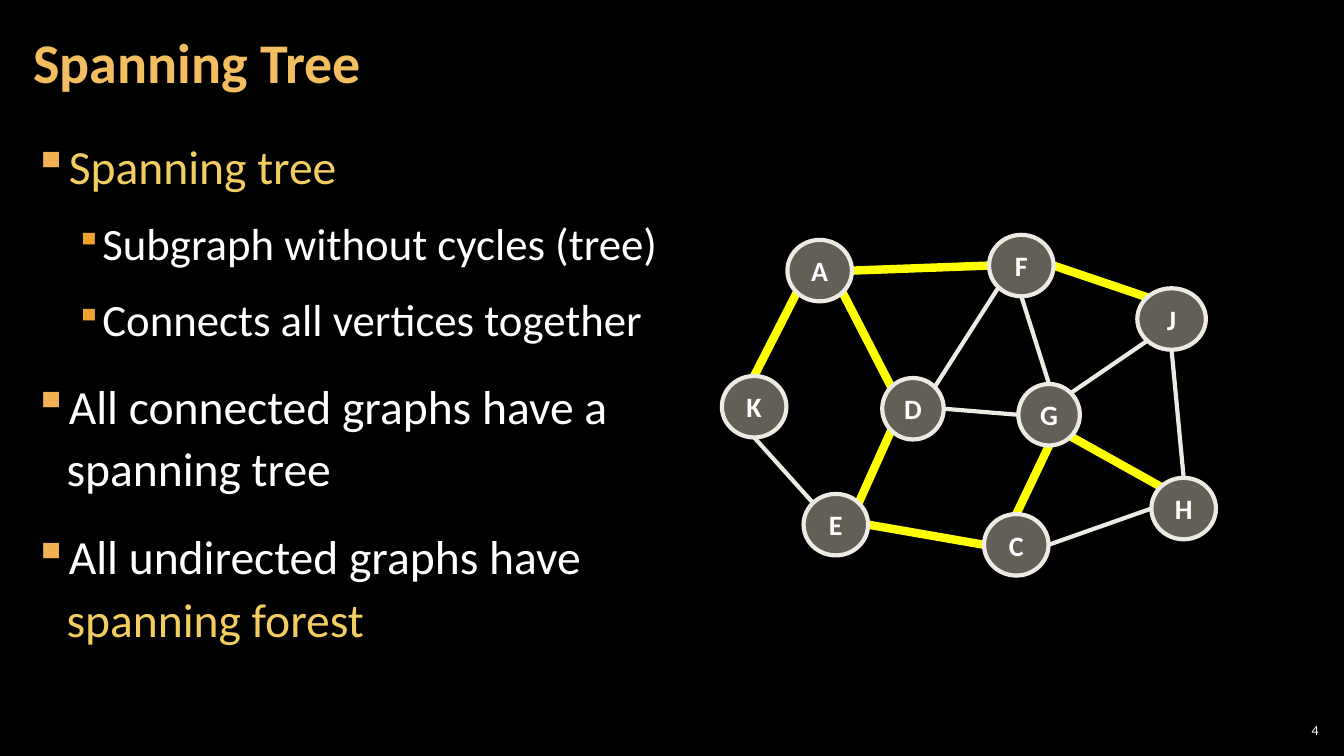
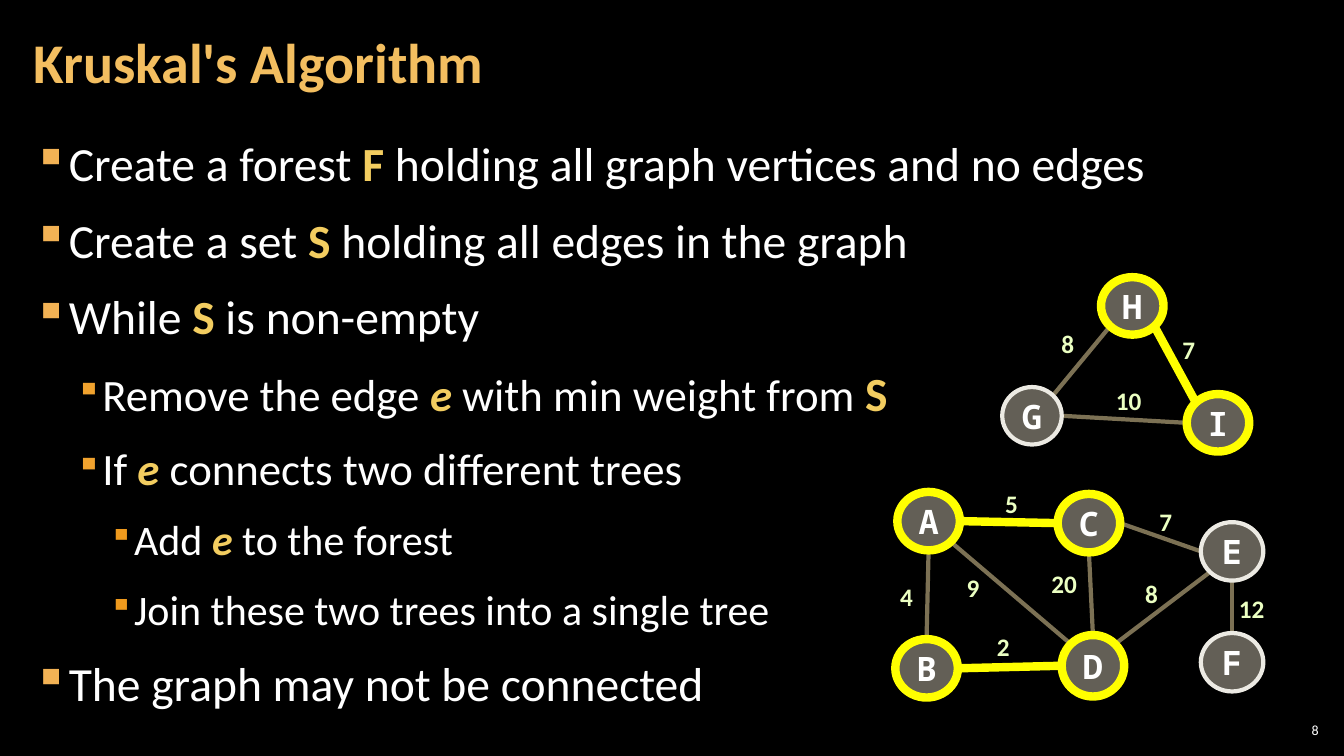
"""Build two slides on spanning trees and Kruskal's algorithm."""
from lxml.etree import SubElement
from pptx import Presentation
from pptx.dml.color import RGBColor
from pptx.enum.shapes import MSO_CONNECTOR, MSO_SHAPE
from pptx.enum.text import MSO_ANCHOR, PP_ALIGN
from pptx.oxml.ns import qn
from pptx.util import Pt

PX = 9144
SLIDE_SIZE = (1333, 750)
TITLE_BOX = (21, 4, 1047, 121)
BODY_BOX = (21, 126, 1291, 609)
NUMBER_BOX = (1265, 714, 47, 21)

BACKGROUND, WHITE, GOLD = "000000", "FFFFFF", "F3CD60"
NODE_FILL, NODE_RING, TREE = "C7BFAC", "ECEAE3", "FFFF00"
TITLE = {"size": 40, "color": "F3BE60", "bold": True}
NUMBER = {"size": 10}
WEIGHT = {"size": 18, "color": "EBFFC2", "bold": True}
PLAIN = {}
TERM = {"color": GOLD}
KEY = {"color": GOLD, "bold": True}
BIG_KEY = {**KEY, "size": 34}
VARIABLE = {**KEY, "italic": True}

LEVELS = [
    {"size": 34, "left": 33, "hang": 33, "bullet": "F2B254", "percent": 100},
    {"size": 32, "left": 67, "hang": 25, "bullet": "F0A22E", "percent": 80},
    {"size": 30, "left": 100, "hang": 25, "bullet": "EF9A1D", "percent": 80},
]

COMPASS = {"N": (0, -1), "S": (0, 1), "W": (-1, 0), "E": (1, 0)}
DIAGONAL = 0.5 ** 0.5

SLIDES = [
    {
        "title": "Spanning Tree",
        "number": "4",
        "line_spacing": 1.1,
        "top_space": 12,
        "body": [
            (0, [("Spanning tree", TERM)]),
            (1, [("Subgraph without cycles (tree)", PLAIN)]),
            (1, [("Connects all vertices together", PLAIN)]),
            (0, [("All connected graphs have a\nspanning tree", PLAIN)]),
            (0, [("All undirected graphs have\n", PLAIN), ("spanning forest", TERM)]),
        ],
        "node_font": {"size": 20, "bold": True},
        "ring_tree_nodes": False,
        "nodes": {
            "A": (781, 238, 64, 61), "F": (981, 233, 64, 61), "J": (1128, 286, 68, 61),
            "K": (716, 373, 64, 61), "D": (875, 375, 61, 61), "G": (1010, 381, 61, 61),
            "E": (797, 490, 64, 61), "C": (976, 510, 64, 61), "H": (1142, 474, 64, 61),
        },
        "tree_edges": [
            ("A", "E", "F", "W"), ("F", "E", "J", "NW"), ("K", "N", "A", "SW"),
            ("D", "NW", "A", "SE"), ("D", "SW", "E", "NE"), ("C", "W", "E", "E"),
            ("C", "N", "G", "S"), ("G", "SE", "H", "NW"),
        ],
        "other_color": NODE_RING,
        "other_edges": [
            ("G", "NE", "J", "SW"), ("G", "N", "F", "S"), ("D", "E", "G", "W"),
            ("F", "SW", "D", "NE"), ("H", "N", "J", "S"), ("H", "W", "C", "E"),
            ("K", "S", "E", "NW"),
        ],
        "weights": [],
    },
    {
        "title": "Kruskal's Algorithm",
        "number": "8",
        "line_spacing": 1.05,
        "top_space": 6,
        "body": [
            (0, [("Create a forest ", PLAIN), ("F", KEY),
                 (" holding all graph vertices and no edges", PLAIN)]),
            (0, [("Create a set ", PLAIN), ("S", KEY),
                 (" holding all edges in the graph", PLAIN)]),
            (0, [("While ", PLAIN), ("S", KEY), (" is non-empty", PLAIN)]),
            (1, [("Remove the edge ", PLAIN), ("e", VARIABLE),
                 (" with min weight from ", PLAIN), ("S", BIG_KEY)]),
            (1, [("If ", PLAIN), ("e ", VARIABLE), ("connects two different trees", PLAIN)]),
            (2, [("Add ", PLAIN), ("e", VARIABLE), (" to the forest", PLAIN)]),
            (2, [("Join these two trees into a single tree", PLAIN)]),
            (0, [("The graph may not be connected", PLAIN)]),
        ],
        "node_font": {"size": 24, "bold": True, "name": "Noto Sans Mono"},
        "ring_tree_nodes": True,
        "nodes": {
            "A": (890, 488, 62, 58), "B": (888, 634, 62, 58), "C": (1049, 490, 62, 58),
            "D": (1053, 630, 62, 61), "E": (1191, 518, 62, 58), "F": (1191, 628, 62, 58),
            "G": (994, 384, 59, 57), "H": (1092, 275, 62, 57), "I": (1177, 391, 62, 57),
        },
        "tree_edges": [
            ("A", "E", "C", "W"), ("D", "W", "B", "E"), ("I", "NW", "H", "SE"),
        ],
        "other_color": "7C7154",
        "other_edges": [
            ("D", "NE", "E", "SW"), ("D", "N", "C", "S"), ("F", "N", "E", "S"),
            ("D", "NW", "A", "SE"), ("C", "E", "E", "W"), ("B", "N", "A", "S"),
            ("G", "E", "I", "W"), ("G", "NE", "H", "SW"),
        ],
        "weights": [
            ("4", 883, 572), ("2", 979, 621), ("9", 949, 563), ("12", 1219, 584),
            ("8", 1126, 569), ("7", 1140, 497), ("5", 987, 479), ("20", 1033, 559),
            ("10", 1097, 377), ("8", 1043, 321), ("7", 1163, 327),
        ],
    },
]


def emu(*lengths):
    """Turn px lengths into EMU."""
    return [round(length * PX) for length in lengths]


def rgb(color):
    """Turn a hex string into a colour."""
    return RGBColor.from_string(color)


def add_run(paragraph, text, font_format):
    """Add formatted text, with a line break at each newline."""
    values = {"name": "Calibri", "color": WHITE, **font_format}
    values["size"] = Pt(values["size"])
    color = values.pop("color")
    for index, line in enumerate(text.split("\n")):
        if index:
            paragraph.add_line_break()
        if line:
            run = paragraph.add_run()
            run.text = line
            run.font.color.rgb = rgb(color)
            for name, value in values.items():
                setattr(run.font, name, value)


def set_frame(shape, insets, anchor=MSO_ANCHOR.MIDDLE, wrap=True):
    """Set up the text frame of a shape and return it."""
    frame = shape.text_frame
    horizontal, vertical = emu(*insets)
    values = {
        "margin_left": horizontal, "margin_right": horizontal,
        "margin_top": vertical, "margin_bottom": vertical,
        "vertical_anchor": anchor, "word_wrap": wrap,
    }
    for name, value in values.items():
        setattr(frame, name, value)
    return frame


def add_label(slide, box, text, font_format, insets, alignment=PP_ALIGN.LEFT, wrap=True):
    """Add a one-line text box and return its paragraph."""
    frame = set_frame(slide.shapes.add_textbox(*emu(*box)), insets, wrap=wrap)
    paragraph = frame.paragraphs[0]
    paragraph.alignment = alignment
    add_run(paragraph, text, font_format)
    return paragraph


def add_bullet(paragraph, level):
    """Give a paragraph the bullet and indent of its level."""
    properties = paragraph._p.get_or_add_pPr()
    left, hang = emu(level["left"], level["hang"])
    properties.set("marL", str(left))
    properties.set("indent", str(-hang))
    color = SubElement(properties, qn("a:buClr"))
    SubElement(color, qn("a:srgbClr"), val=level["bullet"])
    SubElement(properties, qn("a:buSzPct"), val=str(level["percent"] * 1000))
    SubElement(properties, qn("a:buChar"), char="▪")


def add_body(slide, content):
    """Add the bulleted text."""
    frame = set_frame(slide.shapes.add_textbox(*emu(*BODY_BOX)), (12, 4), MSO_ANCHOR.TOP)
    for index, (depth, runs) in enumerate(content["body"]):
        paragraph = frame.add_paragraph() if index else frame.paragraphs[0]
        level = LEVELS[depth]
        paragraph.level = depth
        paragraph.line_spacing = content["line_spacing"]
        if index:
            paragraph.space_before = Pt(6 if depth else content["top_space"])
        paragraph.space_after = Pt(6)
        add_bullet(paragraph, level)
        for text, font_format in runs:
            add_run(paragraph, text, {"size": level["size"], **font_format})


def edge_point(box, side):
    """Find the point on a node's ellipse at a compass side."""
    left, top, width, height = box
    reach = DIAGONAL if len(side) == 2 else 1
    across, down = (sum(parts) * reach for parts in zip(*(COMPASS[letter] for letter in side)))
    return left + width / 2 * (1 + across), top + height / 2 * (1 + down)


def add_edge(slide, nodes, edge, color, width):
    """Draw a line between two nodes."""
    start, start_side, end, end_side = edge
    points = edge_point(nodes[start], start_side) + edge_point(nodes[end], end_side)
    line = slide.shapes.add_connector(MSO_CONNECTOR.STRAIGHT, *emu(*points))
    line.line.color.rgb = rgb(color)
    line.line.width = Pt(width)
    SubElement(line._element.spPr, qn("a:effectLst"))


def add_node(slide, name, box, font_format, in_tree):
    """Draw a half-transparent lettered ellipse."""
    node = slide.shapes.add_shape(MSO_SHAPE.OVAL, *emu(*box))
    node.shadow.inherit = False
    node.fill.solid()
    node.fill.fore_color.rgb = rgb(NODE_FILL)
    fill_color = node._element.spPr.find(qn("a:solidFill")).find(qn("a:srgbClr"))
    SubElement(fill_color, qn("a:alpha"), val="50000")
    node.line.color.rgb = rgb(TREE if in_tree else NODE_RING)
    node.line.width = Pt(6 if in_tree else 3)
    paragraph = set_frame(node, (4, 5)).paragraphs[0]
    paragraph.alignment = PP_ALIGN.CENTER
    add_run(paragraph, name, font_format)


def add_graph(slide, content):
    """Draw the weights, edges and nodes of a graph."""
    nodes, tree_edges = content["nodes"], content["tree_edges"]
    for text, left, top in content["weights"]:
        box = (left, top, 20 + 13 * len(text), 40)
        add_label(slide, box, text, WEIGHT, (10, 5), wrap=False)
    for edge in content["other_edges"]:
        add_edge(slide, nodes, edge, content["other_color"], 3)
    for edge in tree_edges:
        add_edge(slide, nodes, edge, TREE, 6)
    tree_nodes = {name for edge in tree_edges for name in edge[::2]}
    for name, box in nodes.items():
        in_tree = content["ring_tree_nodes"] and name in tree_nodes
        add_node(slide, name, box, content["node_font"], in_tree)


def add_slide(presentation, content):
    """Add one slide with its title, text, graph and number."""
    slide = presentation.slides.add_slide(presentation.slide_layouts[6])
    slide.background.fill.solid()
    slide.background.fill.fore_color.rgb = rgb(BACKGROUND)
    title = add_label(slide, TITLE_BOX, content["title"], TITLE, (12, 4))
    title.line_spacing = 0.9
    add_body(slide, content)
    add_graph(slide, content)
    add_label(slide, NUMBER_BOX, content["number"], NUMBER, (4, 4), PP_ALIGN.RIGHT)


def main():
    """Build and save the presentation."""
    presentation = Presentation()
    presentation.slide_width, presentation.slide_height = emu(*SLIDE_SIZE)
    for content in SLIDES:
        add_slide(presentation, content)
    presentation.save("out.pptx")


if __name__ == "__main__":
    main()
